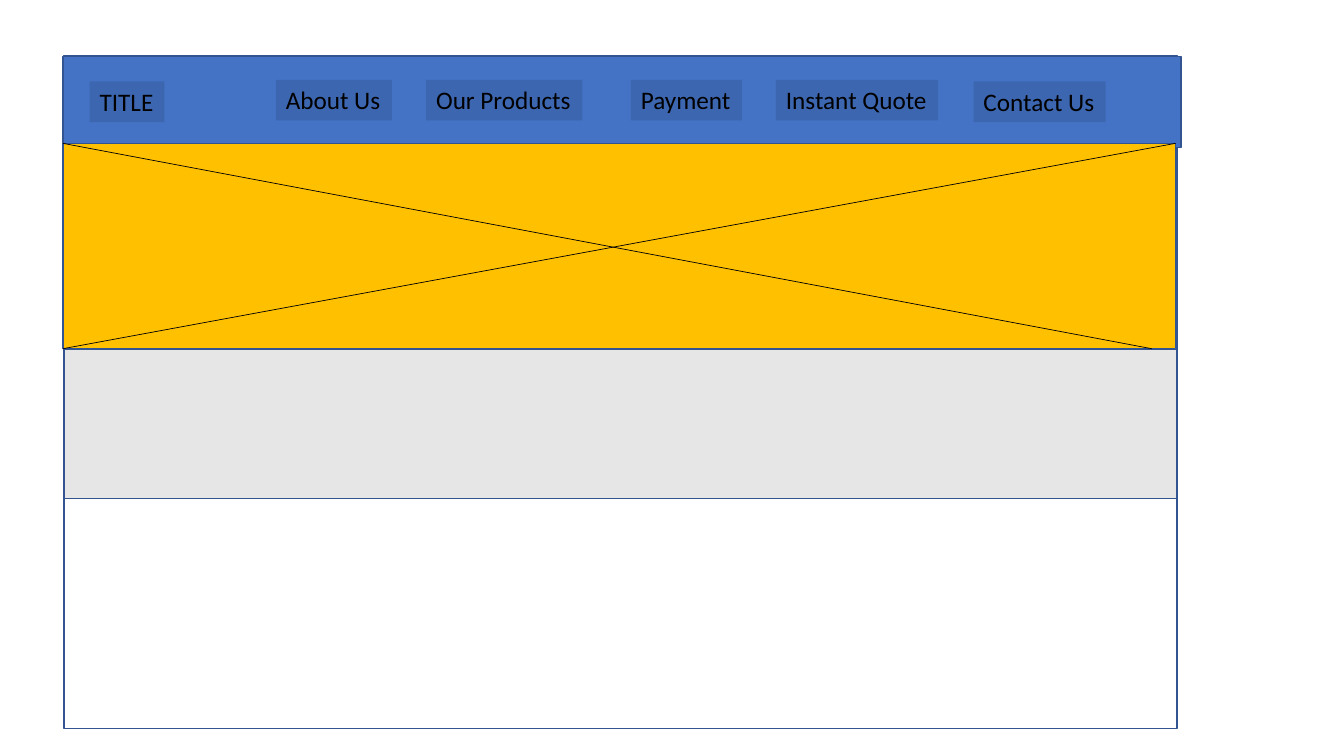
from lxml import etree
from pptx import Presentation
from pptx import util as u
from pptx.dml.color import RGBColor
from pptx.enum import shapes, text
from pptx.oxml.ns import qn

Pt = u.Pt
COLORS = {"edge": "325491", "nav": "4472C4", "hero": "FFC000",
          "band": "E7E6E6", "ink": "000000"}

# Label, left, top and width, relative to the navigation bar
LABELS = [("TITLE", 19.2, 18, 53.3), ("About Us", 152.2, 16.8, 82.8),
          ("Our Products", 259.5, 16.8, 111.6), ("Payment", 405.8, 16.8, 79.2),
          ("Instant Quote", 509.4, 16.8, 115.9), ("Contact Us", 650.5, 18, 94.3)]


def color(name):
    return RGBColor.from_string(COLORS[name])


def panel(parent, box, fill=None):
    """Outlined rectangle, hollow unless a fill is named."""
    rect = parent.add_shape(shapes.MSO_SHAPE.RECTANGLE, *map(Pt, box))
    rect.shadow.inherit = False
    if fill:
        rect.fill.solid()
        rect.fill.fore_color.rgb = color(fill)
    else:
        rect.fill.background()
    rect.line.color.rgb = color("edge")
    rect.line.width = Pt(1)


def label(parent, words, box):
    """Menu entry on a faint dark tint."""
    item = parent.add_textbox(*map(Pt, box))
    item.fill.solid()
    item.fill.fore_color.rgb = color("ink")
    tint = item._element.spPr.find(qn("a:solidFill"))[0]
    etree.SubElement(tint, qn("a:alpha"), val="10000")
    frame = item.text_frame
    frame.word_wrap = False
    frame.auto_size = text.MSO_AUTO_SIZE.SHAPE_TO_FIT_TEXT
    line = frame.paragraphs[0]
    line.text = words
    line.font.size = Pt(18)
    line.font.name = "Calibri"
    line.font.color.rgb = color("ink")


def stroke(parent, start, end):
    """Thin straight line."""
    line = parent.add_connector(shapes.MSO_CONNECTOR.STRAIGHT,
                                *map(Pt, start + end))
    line.line.color.rgb = color("ink")
    line.line.width = Pt(0.5)
    etree.SubElement(line._element.spPr, qn("a:effectLst"))


def navbar(parent, box):
    """Menu bar with its labels."""
    panel(parent, box, "nav")
    left, top = box[:2]
    for words, dx, dy, width in LABELS:
        label(parent, words, (left + dx, top + dy, width, 29.08))


def hero(parent, box):
    """Image area, crossed out corner to corner."""
    group = parent.add_group_shape().shapes
    panel(group, box, "hero")
    left, top, width, height = box
    right, bottom = left + width, top + height
    stroke(group, (left, top), (right - 17, bottom))
    stroke(group, (right, top), (left, bottom))


def main():
    deck = Presentation()
    deck.slide_width, deck.slide_height = Pt(960), Pt(540)
    slide = deck.slides.add_slide(deck.slide_layouts[6])
    parts = slide.shapes

    # Page frame, menu, content band and hero, from back to front
    panel(parts, (45.8, 39.8, 794.8, 480.8))
    navbar(parts, (44.9, 40.2, 798.8, 65))
    panel(parts, (45.8, 249.6, 794.8, 106.4), "band")
    hero(parts, (44.9, 102.4, 794.8, 146.7))
    deck.save("out.pptx")


if __name__ == "__main__":
    main()
